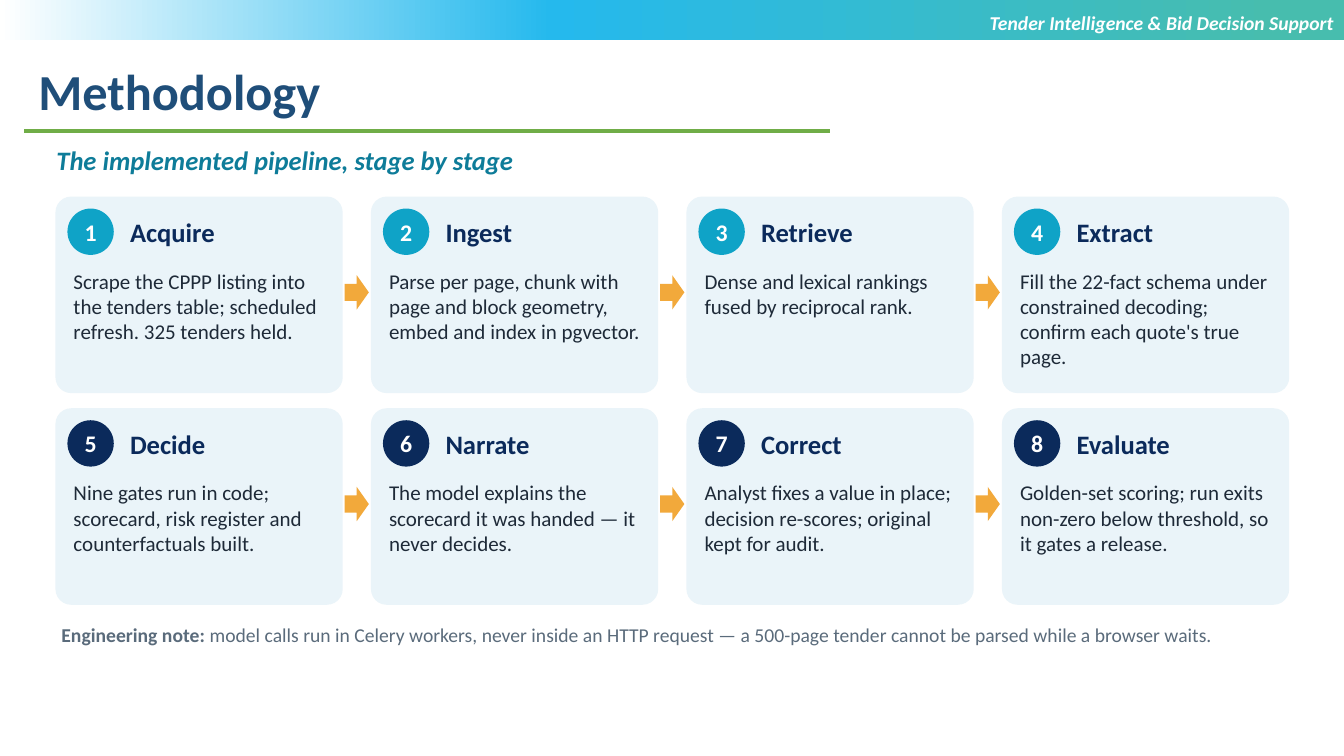
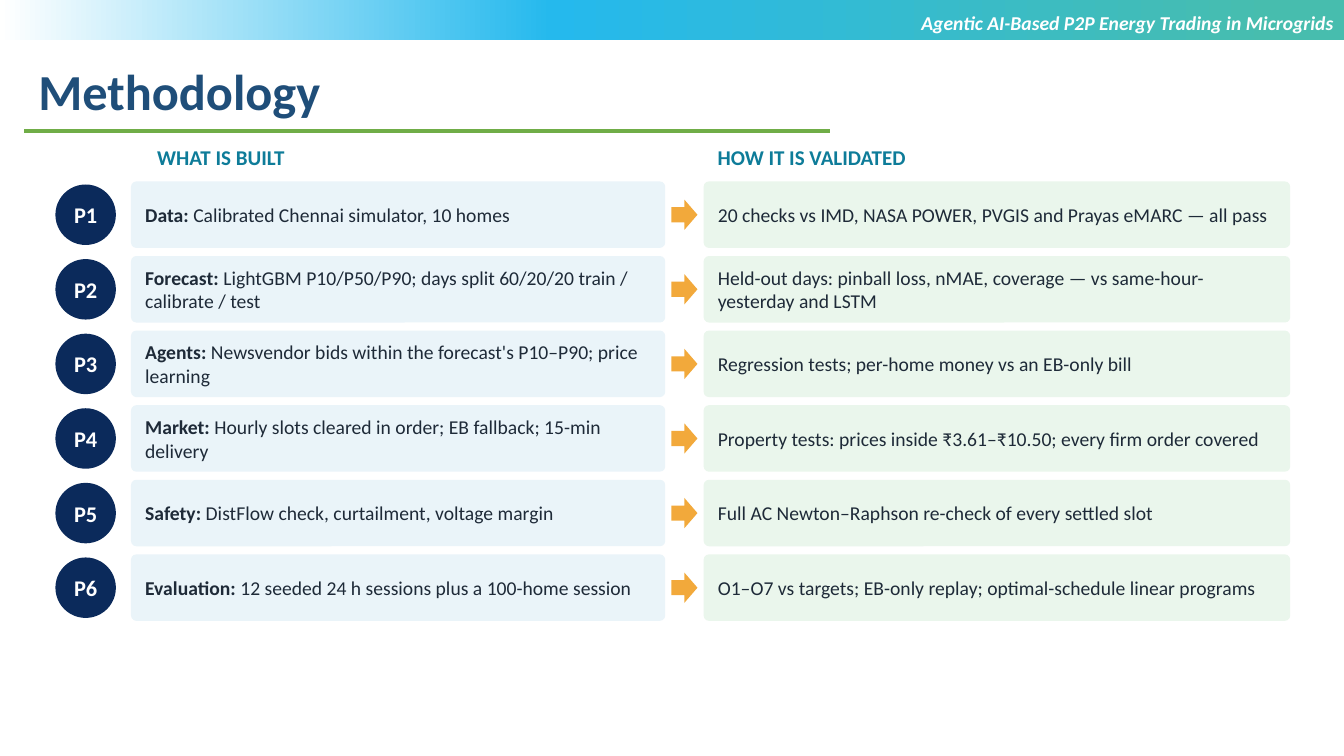
from copy import deepcopy

from lxml.etree import SubElement
from pptx import Presentation
from pptx.dml.color import RGBColor
from pptx.enum.shapes import MSO_CONNECTOR, MSO_SHAPE
from pptx.enum.text import MSO_ANCHOR, MSO_AUTO_SIZE, PP_ALIGN
from pptx.oxml.ns import qn
from pptx.util import Pt

COLORS = {
    "teal": "47BDAE",
    "sky": "25B9ED",
    "white": "FFFFFF",
    "title": "1F4E79",
    "rule": "70AD47",
    "accent": "0E7C99",
    "navy": "0B2A5B",
    "cyan": "0FA3C7",
    "ink": "1E2A38",
    "note": "5A6B7B",
    "amber": "F2A93B",
    "pale blue": "EAF4F9",
    "pale green": "EAF6EC",
}
FONT = "Calibri"
TITLE_ONLY = 5
WIDE = (7.2, 3.6, 7.2, 3.6)
TIGHT = (4.3, 2.2, 4.3, 2.2)
BADGE = (0, 2.2, 0, 2.2)
CELL = (9, 2.2, 8.2, 2.2)

STAGES = [
    ("Acquire", "Scrape the CPPP listing into the tenders table; scheduled refresh. 325 tenders held."),
    ("Ingest", "Parse per page, chunk with page and block geometry, embed and index in pgvector."),
    ("Retrieve", "Dense and lexical rankings fused by reciprocal rank."),
    ("Extract", "Fill the 22-fact schema under constrained decoding; confirm each quote's true page."),
    ("Decide", "Nine gates run in code; scorecard, risk register and counterfactuals built."),
    ("Narrate", "The model explains the scorecard it was handed — it never decides."),
    ("Correct", "Analyst fixes a value in place; decision re-scores; original kept for audit."),
    ("Evaluate", "Golden-set scoring; run exits non-zero below threshold, so it gates a release."),
]
PHASES = [
    ("Data", "Calibrated Chennai simulator, 10 homes",
     "20 checks vs IMD, NASA POWER, PVGIS and Prayas eMARC — all pass"),
    ("Forecast", "LightGBM P10/P50/P90; days split 60/20/20 train / calibrate / test",
     "Held-out days: pinball loss, nMAE, coverage — vs same-hour-yesterday and LSTM"),
    ("Agents", "Newsvendor bids within the forecast's P10–P90; price learning",
     "Regression tests; per-home money vs an EB-only bill"),
    ("Market", "Hourly slots cleared in order; EB fallback; 15-min delivery",
     "Property tests: prices inside ₹3.61–₹10.50; every firm order covered"),
    ("Safety", "DistFlow check, curtailment, voltage margin",
     "Full AC Newton–Raphson re-check of every settled slot"),
    ("Evaluation", "12 seeded 24 h sessions plus a 100-home session",
     "O1–O7 vs targets; EB-only replay; optimal-schedule linear programs"),
]


def rgb(name):
    return RGBColor.from_string(COLORS[name])


def write(frame, text, label="", size=14, color="ink", bold=False, italic=False,
          align=PP_ALIGN.LEFT, anchor=MSO_ANCHOR.TOP, insets=TIGHT, after=3):
    frame.word_wrap = True
    frame.auto_size = MSO_AUTO_SIZE.NONE
    frame.vertical_anchor = anchor
    frame.margin_left, frame.margin_top, frame.margin_right, frame.margin_bottom = map(Pt, insets)
    paragraph = frame.paragraphs[0]
    paragraph.alignment = align
    paragraph.space_after = Pt(after)
    for words, strong in ((label, True), (text, bold)):
        if words:
            run = paragraph.add_run()
            run.text = words
            run.font.name = FONT
            run.font.size = Pt(size)
            run.font.bold = strong
            run.font.italic = italic
            run.font.color.rgb = rgb(color)


class Deck:
    def __init__(self):
        self.presentation = Presentation()
        self.presentation.slide_width = Pt(960)
        self.presentation.slide_height = Pt(540)
        self.layout = self.presentation.slide_layouts[TITLE_ONLY]
        heading = self.layout.placeholders[0]
        heading.left, heading.top, heading.width, heading.height = map(Pt, (20.2, 39.6, 836.6, 51))
        self.slide = None

    def open_slide(self, title, project):
        first = self.slide is None
        self.slide = self.presentation.slides.add_slide(self.layout)
        if first:
            for part in (self.band(), self.rule()):
                self.layout.shapes.element.append(part.element)
        write(self.slide.shapes.title.text_frame, title, size=36, color="title", bold=True,
              insets=WIDE, after=0)
        self.text(479.5, 4.3, 480.5, 45, project, color="white", bold=True, italic=True,
                  align=PP_ALIGN.RIGHT, insets=WIDE, after=0)

    def shape(self, kind, left, top, width, height, fill):
        shape = self.slide.shapes.add_shape(kind, Pt(left), Pt(top), Pt(width), Pt(height))
        shape.shadow.inherit = False
        shape.line.fill.background()
        shape.fill.solid()
        shape.fill.fore_color.rgb = rgb(fill)
        return shape

    def band(self):
        band = self.shape(MSO_SHAPE.RECTANGLE, 0, 0, 960, 28.8, "sky")
        band.fill.gradient()
        band.fill.gradient_angle = 180
        stops = band.element.spPr.find(qn("a:gradFill")).find(qn("a:gsLst"))
        stops.append(deepcopy(stops[0]))
        shades = ((0.05, "teal"), (0.59, "sky"), (1, "white"))
        for stop, (position, color) in zip(band.fill.gradient_stops, shades):
            stop.position = position
            stop.color.rgb = rgb(color)
        return band

    def rule(self):
        rule = self.slide.shapes.add_connector(
            MSO_CONNECTOR.STRAIGHT, Pt(17.3), Pt(93.6), Pt(592.6), Pt(93.6))
        rule.line.color.rgb = rgb("rule")
        rule.line.width = Pt(2.25)
        SubElement(rule.element.spPr, qn("a:effectLst"))
        return rule

    def text(self, left, top, width, height, words, **style):
        box = self.slide.shapes.add_textbox(Pt(left), Pt(top), Pt(width), Pt(height))
        write(box.text_frame, words, **style)

    def card(self, left, top, width, height, fill, words="", label=""):
        card = self.shape(MSO_SHAPE.ROUNDED_RECTANGLE, left, top, width, height, fill)
        card.adjustments[0] = 0.08
        if words:
            write(card.text_frame, words, label=label, anchor=MSO_ANCHOR.MIDDLE, insets=CELL)

    def badge(self, left, top, diameter, words, fill, size):
        badge = self.shape(MSO_SHAPE.OVAL, left, top, diameter, diameter, fill)
        write(badge.text_frame, words, size=size, color="white", bold=True,
              align=PP_ALIGN.CENTER, anchor=MSO_ANCHOR.MIDDLE, insets=BADGE)

    def arrow(self, left, top, width, height):
        self.shape(MSO_SHAPE.RIGHT_ARROW, left, top, width, height, "amber")


def add_pipeline(deck):
    deck.open_slide("Methodology", "Tender Intelligence & Bid Decision Support")
    deck.text(36, 100.8, 885.6, 27.4, "The implemented pipeline, stage by stage",
              size=19, color="accent", bold=True, italic=True)
    columns = 4
    for index, (stage, detail) in enumerate(STAGES):
        row, column = divmod(index, columns)
        left = 39.6 + 225.36 * column
        top = 140.4 + 151.2 * row
        deck.card(left, top, 205.2, 140.4, "pale blue")
        deck.badge(left + 8.6, top + 8.6, 33.1, str(index + 1), ("cyan", "navy")[row], 17)
        deck.text(left + 49, top + 11.5, 151.2, 27.4, stage, size=19, color="navy",
                  bold=True, anchor=MSO_ANCHOR.MIDDLE)
        deck.text(left + 8.6, top + 49, 188.6, 76.3, detail, size=15)
        if column < columns - 1:
            deck.arrow(left + 206.6, top + 56.2, 17.3, 24.5)
    deck.text(39.6, 442.8, 878.4, 38,
              "model calls run in Celery workers, never inside an HTTP request — "
              "a 500-page tender cannot be parsed while a browser waits.",
              label="Engineering note: ", color="note")


def add_validation(deck):
    deck.open_slide("Methodology", "Agentic AI-Based P2P Energy Trading in Microgrids")
    for left, heading in ((108, "WHAT IS BUILT"), (508.3, "HOW IT IS VALIDATED")):
        deck.text(left, 100.8, 360, 22.3, heading, size=15, color="accent", bold=True)
    for index, (phase, built, validated) in enumerate(PHASES):
        top = 129.6 + 53.28 * index
        deck.badge(39.6, top + 2.2, 43.2, f"P{index + 1}", "navy", 16)
        deck.card(93.6, top, 381.6, 47.5, "pale blue", built, label=f"{phase}: ")
        deck.arrow(479.5, top + 13, 18.7, 21.6)
        deck.card(502.6, top, 419, 47.5, "pale green", validated)


def main():
    deck = Deck()
    add_pipeline(deck)
    add_validation(deck)
    deck.presentation.save("out.pptx")


if __name__ == "__main__":
    main()
